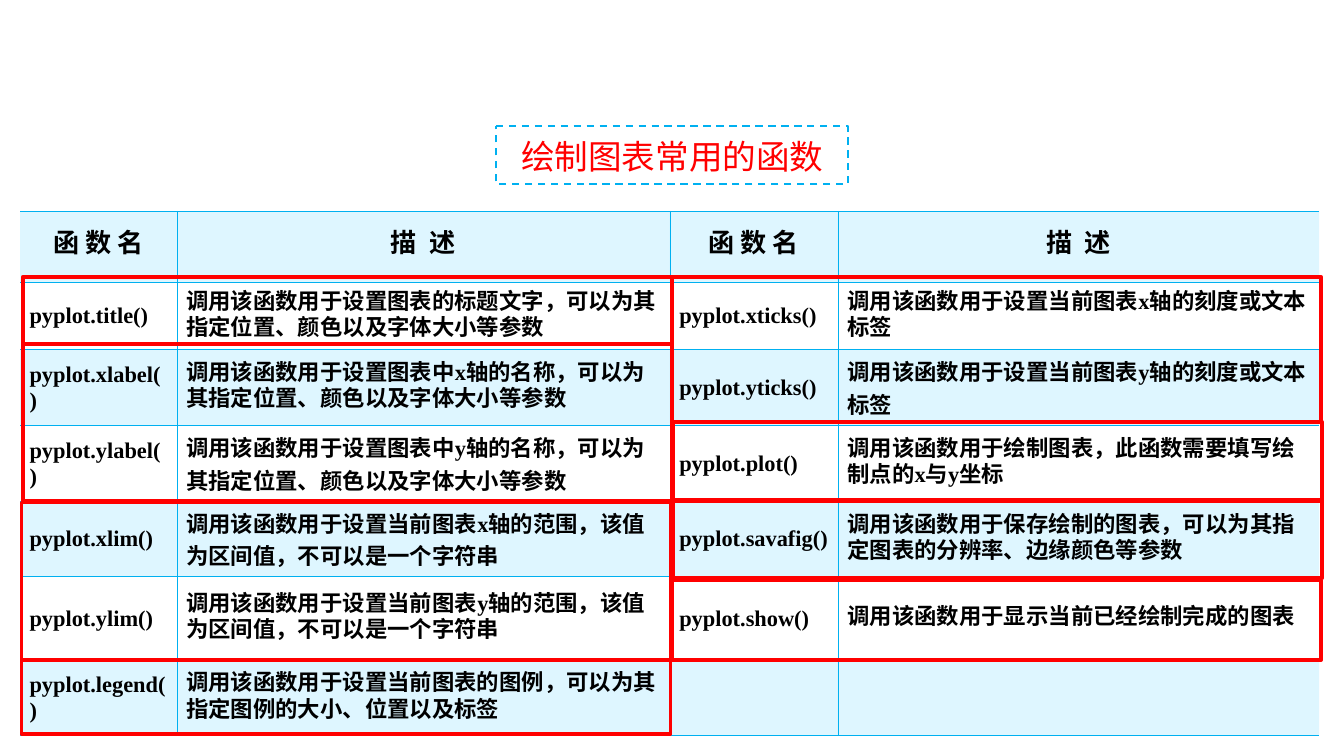
from dataclasses import dataclass

from lxml import etree
from pptx import Presentation
from pptx.dml.color import RGBColor
from pptx.enum.dml import MSO_LINE
from pptx.enum.shapes import MSO_SHAPE
from pptx.enum.text import MSO_ANCHOR, PP_ALIGN
from pptx.oxml.ns import qn
from pptx.util import Inches, Pt

DASH = MSO_LINE.DASH
RECT, ROUND_RECT = MSO_SHAPE.RECTANGLE, MSO_SHAPE.ROUNDED_RECTANGLE
MIDDLE = MSO_ANCHOR.MIDDLE
CENTER, LEFT = PP_ALIGN.CENTER, PP_ALIGN.LEFT

RED = RGBColor(0xFF, 0x00, 0x00)
BLUE = RGBColor(0x00, 0xB0, 0xF0)
SKY = RGBColor(0x5D, 0xD5, 0xFF)
BLACK = RGBColor(0x00, 0x00, 0x00)

SLIDE_WIDTH = Inches(10)
SLIDE_HEIGHT = SLIDE_WIDTH * 9 // 16
UNIT = SLIDE_WIDTH // 1000
COL_WIDTHS = (116.5, 367, 125, 358)
ROW_HEIGHTS = (53, 50, 56, 56, 56, 62, 56)
FRAME_WIDTH = 483


@dataclass(frozen=True)
class Box:
    col: float
    row: float
    cols: float
    rows: float

    def emu(self) -> tuple[int, ...]:
        return tuple(int(n * UNIT) for n in (self.col, self.row, self.cols, self.rows))


@dataclass(frozen=True)
class Entry:
    name: str
    description: str
    loose: bool = False


LEFT_ENTRIES = (
    Entry("pyplot.title()", "调用该函数用于设置图表的标题文字，可以为其指定位置、颜色以及字体大小等参数"),
    Entry("pyplot.xlabel()", "调用该函数用于设置图表中x轴的名称，可以为其指定位置、颜色以及字体大小等参数"),
    Entry("pyplot.ylabel()", "调用该函数用于设置图表中y轴的名称，可以为其指定位置、颜色以及字体大小等参数", True),
    Entry("pyplot.xlim()", "调用该函数用于设置当前图表x轴的范围，该值为区间值，不可以是一个字符串", True),
    Entry("pyplot.ylim()", "调用该函数用于设置当前图表y轴的范围，该值为区间值，不可以是一个字符串"),
    Entry("pyplot.legend()", "调用该函数用于设置当前图表的图例，可以为其指定图例的大小、位置以及标签"),
)
RIGHT_ENTRIES = (
    Entry("pyplot.xticks()", "调用该函数用于设置当前图表x轴的刻度或文本标签"),
    Entry("pyplot.yticks()", "调用该函数用于设置当前图表y轴的刻度或文本标签", True),
    Entry("pyplot.plot()", "调用该函数用于绘制图表，此函数需要填写绘制点的x与y坐标"),
    Entry("pyplot.savafig()", "调用该函数用于保存绘制的图表，可以为其指定图表的分辨率、边缘颜色等参数"),
    Entry("pyplot.show()", "调用该函数用于显示当前已经绘制完成的图表"),
)
FRAMES = (
    Box(17, 206, FRAME_WIDTH, 50),
    Box(17, 256, FRAME_WIDTH, 117),
    Box(16, 374, FRAME_WIDTH, 117),
    Box(16, 491, FRAME_WIDTH, 55),
    Box(500, 206, FRAME_WIDTH, 108),
    Box(501, 314, FRAME_WIDTH, 59),
    Box(501, 372, FRAME_WIDTH, 58),
    Box(500, 432, FRAME_WIDTH, 59),
)


def add_outline(shapes, kind, box: Box, color: RGBColor, width: float):
    sp = shapes.add_shape(kind, *box.emu())
    sp.shadow.inherit = False
    sp.fill.background()
    sp.line.color.rgb = color
    sp.line.width = Pt(width)
    return sp


def add_title(shapes) -> None:
    group = shapes.add_group_shape()
    sp = add_outline(group.shapes, ROUND_RECT, Box(369, 94, 262, 43), BLUE, 1)
    sp.adjustments[0] = 0
    sp.line.dash_style = DASH
    tf = group.shapes.add_textbox(*Box(378, 96, 247, 40).emu()).text_frame
    tf.word_wrap = True
    tf.text = "绘制图表常用的函数"
    r = tf.paragraphs[0].runs[0]
    r.font.size = Pt(18)
    r.font.name = "Arial"
    r.font.color.rgb = RED


def style_cell(cell, shaded: bool, first: bool, last: bool) -> None:
    cell.vertical_anchor = MIDDLE
    cell.margin_left = cell.margin_right = Inches(0.07)
    cell.margin_top = cell.margin_bottom = Inches(0.04)
    props = cell._tc.get_or_add_tcPr()
    if shaded:
        cell.fill.solid()
        cell.fill.fore_color.rgb = SKY
        color = props.find(f"{qn('a:solidFill')}/{qn('a:srgbClr')}")
        etree.SubElement(color, qn("a:alpha"), val="20000")
    else:
        cell.fill.background()
    hidden = {"lnL": first, "lnR": last, "lnT": False, "lnB": False}
    for i, (side, hide) in enumerate(hidden.items()):
        line = etree.Element(qn(f"a:{side}"), w=str(Pt(0.23)))
        if hide:
            etree.SubElement(line, qn("a:noFill"))
        else:
            fill = etree.SubElement(line, qn("a:solidFill"))
            etree.SubElement(fill, qn("a:srgbClr"), val=str(BLUE))
        props.insert(i, line)


def write_cell(cell, text: str, size: int, align, loose: bool = False):
    cell.text = text
    p = cell.text_frame.paragraphs[0]
    p.alignment = align
    if not loose:
        p.line_spacing = Pt(14)
    r = p.runs[0]
    r.font.size = Pt(size)
    r.font.name = "Times New Roman"
    r.font.bold = True
    r.font.color.rgb = BLACK
    return r


def add_function_table(shapes) -> None:
    box = Box(15, 157, sum(COL_WIDTHS), sum(ROW_HEIGHTS))
    table = shapes.add_table(len(ROW_HEIGHTS), len(COL_WIDTHS), *box.emu()).table
    table.first_row = table.horz_banding = False
    for column, width in zip(table.columns, COL_WIDTHS):
        column.width = int(width * UNIT)
    for i, (row, height) in enumerate(zip(table.rows, ROW_HEIGHTS)):
        row.height = height * UNIT
        for j, cell in enumerate(row.cells):
            style_cell(cell, i % 2 == 0, j == 0, j == len(COL_WIDTHS) - 1)
    for col, entries in ((0, LEFT_ENTRIES), (2, RIGHT_ENTRIES)):
        write_cell(table.cell(0, col), "函 数 名", 14, CENTER)
        r = write_cell(table.cell(0, col + 1), "描 述", 14, CENTER)
        r.font._element.set("spc", "175")
        for i, entry in enumerate(entries, 1):
            write_cell(table.cell(i, col), entry.name, 12, LEFT)
            write_cell(table.cell(i, col + 1), entry.description, 12, LEFT, entry.loose)


def main() -> None:
    prs = Presentation()
    prs.slide_width, prs.slide_height = SLIDE_WIDTH, SLIDE_HEIGHT
    s = prs.slides.add_slide(prs.slide_layouts[6])
    add_function_table(s.shapes)
    add_title(s.shapes)
    for frame in FRAMES:
        add_outline(s.shapes, RECT, frame, RED, 2)
    prs.save("out.pptx")


if __name__ == "__main__":
    main()
